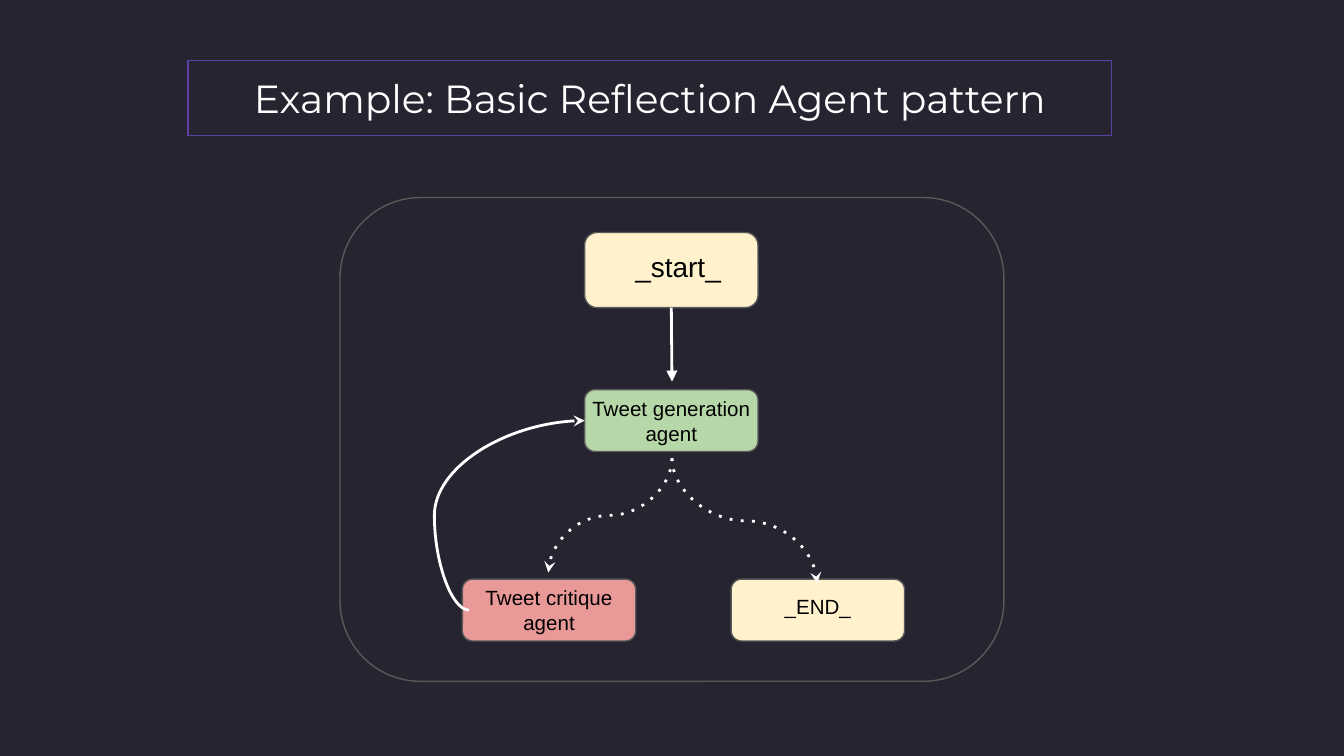
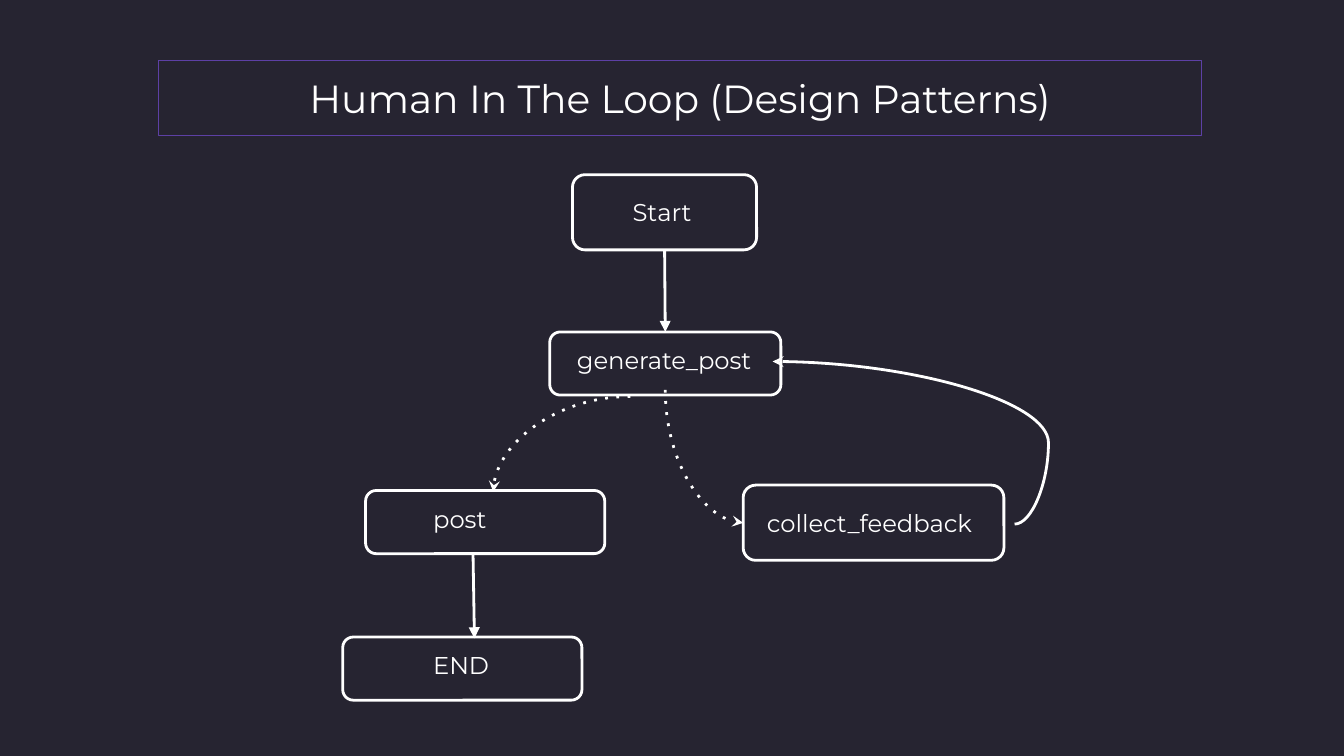
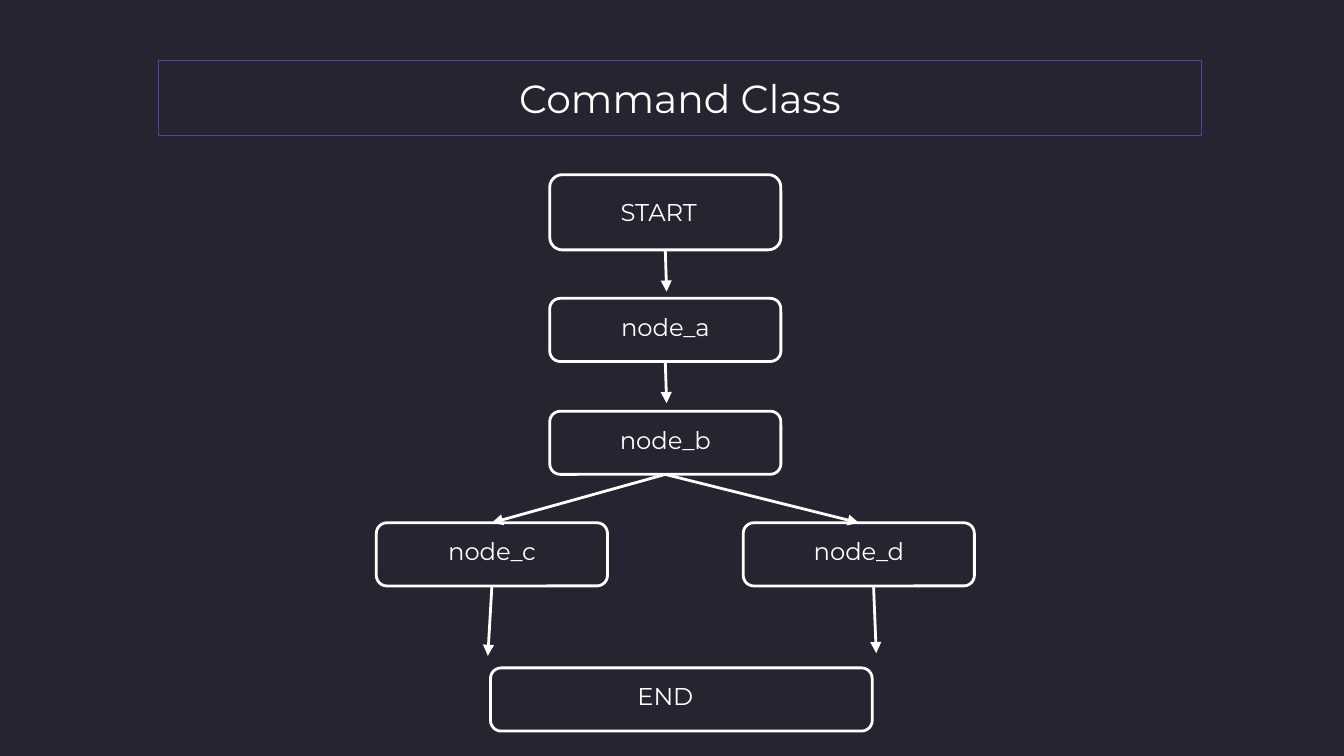
from lxml.etree import SubElement
from pptx import Presentation
from pptx.dml.color import RGBColor
from pptx.enum.shapes import MSO_CONNECTOR, MSO_SHAPE
from pptx.enum.text import MSO_ANCHOR, MSO_AUTO_SIZE, PP_ALIGN
from pptx.oxml.ns import qn
from pptx.util import Inches, Pt

BACKGROUND = "262431"
WHITE = "FFFFFF"
BLACK = "000000"
PURPLE = "5D40A5"
GRAY = "595959"
CREAM = "FFF2CC"
GREEN = "B6D7A8"
RED = "EA9999"
HEADING_FONT = "Montserrat"
DIAGRAM_FONT = "Arial"
TITLE_ONLY = 5
TOP, BOTTOM = 0, 2
TALL, LOW = 0.56, 0.47


def color(value):
    return RGBColor.from_string(value)


def write(shape, text, size, font=HEADING_FONT, ink=WHITE, indent=None, lift=0):
    frame = shape.text_frame
    frame.word_wrap = True
    frame.auto_size = MSO_AUTO_SIZE.NONE
    frame.vertical_anchor = MSO_ANCHOR.MIDDLE
    frame.margin_left = Inches(indent or 0)
    frame.margin_right = frame.margin_top = 0
    frame.margin_bottom = Inches(lift)
    paragraph = frame.paragraphs[0]
    paragraph.alignment = PP_ALIGN.CENTER if indent is None else PP_ALIGN.LEFT
    run = paragraph.add_run()
    run.text = text
    run.font.size = Pt(size)
    run.font.name = font
    run.font.color.rgb = color(ink)


def outline(shape, stroke, weight):
    shape.line.color.rgb = color(stroke)
    shape.line.width = Pt(weight)


def add_titled_slide(deck, text, left=1.18, width=7.76):
    slide = deck.slides.add_slide(deck.slide_layouts[TITLE_ONLY])
    title = slide.shapes.title
    title.left, title.top = Inches(left), Inches(0.45)
    title.width, title.height = Inches(width), Inches(TALL)
    outline(title, PURPLE, 0.75)
    write(title, text, 21)
    return slide


def add_rounded(slide, left, top, width, height, fill=None, stroke=WHITE, weight=1.5):
    box = slide.shapes.add_shape(
        MSO_SHAPE.ROUNDED_RECTANGLE,
        Inches(left), Inches(top), Inches(width), Inches(height),
    )
    box.shadow.inherit = False
    if fill:
        box.fill.solid()
        box.fill.fore_color.rgb = color(fill)
    else:
        box.fill.background()
    outline(box, stroke, weight)
    return box


def add_filled_node(slide, text, left, top, fill, height=0.46, size=11, **layout):
    node = add_rounded(slide, left, top, 1.29, height, fill, GRAY, 0.75)
    write(node, text, size, font=DIAGRAM_FONT, ink=BLACK, **layout)
    return node


def add_outlined_node(slide, text, left, top, width=1.72, height=LOW, indent=None):
    node = add_rounded(slide, left, top, width, height)
    write(node, text, 13, indent=indent, lift=0.05 if height == LOW else 0)
    return node


def style_arrow(arrow, head, dotted=False):
    outline(arrow, WHITE, 1.5)
    stroke = arrow.line._get_or_add_ln()
    if dotted:
        SubElement(stroke, qn("a:prstDash"), val="dot")
    SubElement(stroke, qn("a:tailEnd"), type=head)
    SubElement(arrow._element.spPr, qn("a:effectLst"))


def add_arrow(slide, start, end, source=None, target=None):
    arrow = slide.shapes.add_connector(
        MSO_CONNECTOR.STRAIGHT, *(Inches(value) for value in (*start, *end))
    )
    if source is not None:
        arrow.begin_connect(source, BOTTOM)
    if target is not None:
        arrow.end_connect(target, TOP)
    style_arrow(arrow, "triangle")


def add_curve(slide, start, end, bend=None, downward=False, dotted=False):
    (x1, y1), (x2, y2) = start, end
    if downward:
        center_x, center_y = (x1 + x2) / 2, (y1 + y2) / 2
        half_x, half_y = (x2 - x1) / 2, (y2 - y1) / 2
        x1, x2 = center_x - half_y, center_x + half_y
        y1, y2 = center_y + half_x, center_y - half_x
    curve = slide.shapes.add_connector(
        MSO_CONNECTOR.CURVE, *(Inches(value) for value in (x1, y1, x2, y2))
    )
    properties = curve._element.spPr
    if downward:
        properties.find(qn("a:xfrm")).set("rot", str(90 * 60000))
    geometry = properties.find(qn("a:prstGeom"))
    if bend is None:
        geometry.set("prst", "curvedConnector2")
    else:
        guides = geometry.find(qn("a:avLst"))
        if guides is None:
            guides = SubElement(geometry, qn("a:avLst"))
        SubElement(guides, qn("a:gd"), name="adj1", fmla=f"val {round(bend * 100000)}")
    style_arrow(curve, "stealth", dotted)


def build_reflection(deck):
    slide = add_titled_slide(
        deck, "Example: Basic Reflection Agent pattern", left=1.4, width=6.87
    )
    add_rounded(slide, 2.53, 1.47, 4.94, 3.6, stroke=GRAY, weight=0.75)
    start = add_filled_node(
        slide, "_start_", 4.35, 1.73, CREAM, height=TALL, size=15, indent=0.35, lift=0.06
    )
    add_filled_node(slide, "Tweet generation agent", 4.35, 2.9, GREEN)
    add_filled_node(slide, "Tweet critique agent", 3.44, 4.31, RED)
    add_filled_node(slide, "_END_", 5.44, 4.31, CREAM, lift=0.05)
    add_arrow(slide, (5, 2.29), (5, 2.84), source=start)
    for branch_end in ((4.08, 4.26), (6.08, 4.34)):
        add_curve(slide, (5, 3.41), branch_end, bend=0.5, downward=True, dotted=True)
    add_curve(slide, (3.49, 4.54), (4.35, 3.13), bend=-0.3)


def build_human_loop(deck):
    slide = add_titled_slide(deck, "Human In The Loop (Design Patterns)")
    start = add_outlined_node(slide, "Start", 4.26, 1.3, 1.37, TALL, indent=0.42)
    generate = add_outlined_node(slide, "generate_post", 4.09, 2.47, indent=0.18)
    add_outlined_node(slide, "post", 2.72, 3.65, 1.78, indent=0.48)
    add_outlined_node(slide, "collect_feedback", 5.53, 3.61, 1.94, TALL, indent=0.15)
    add_outlined_node(slide, "END", 2.55, 4.74, 1.78, indent=0.65)
    add_arrow(slide, (4.95, 1.86), (4.95, 2.47), source=start, target=generate)
    add_arrow(slide, (3.52, 4.13), (3.53, 4.75))
    add_curve(slide, (4.69, 2.95), (3.67, 3.66), dotted=True)
    add_curve(slide, (7.55, 3.9), (5.75, 2.69), bend=-0.14)
    add_curve(slide, (4.95, 2.9), (5.53, 3.89), downward=True, dotted=True)


def build_command(deck):
    slide = add_titled_slide(deck, "Command Class")
    start = add_outlined_node(slide, "START", 4.09, 1.3, height=TALL, indent=0.5)
    node_a = add_outlined_node(slide, "node_a", 4.09, 2.22)
    node_b = add_outlined_node(slide, "node_b", 4.09, 3.06)
    node_c = add_outlined_node(slide, "node_c", 2.8, 3.89)
    node_d = add_outlined_node(slide, "node_d", 5.53, 3.89)
    add_outlined_node(slide, "END", 3.65, 4.97, 2.84, indent=1.07)
    add_arrow(slide, (4.95, 1.86), (4.96, 2.17), source=start)
    add_arrow(slide, (4.95, 2.69), (4.96, 3), source=node_a)
    for branch, x in ((node_c, 3.66), (node_d, 6.39)):
        add_arrow(slide, (4.95, 3.53), (x, 3.89), source=node_b, target=branch)
    add_arrow(slide, (3.66, 4.36), (3.63, 4.88), source=node_c)
    add_arrow(slide, (6.5, 4.37), (6.52, 4.86))


def main():
    deck = Presentation()
    deck.slide_width = Inches(10)
    deck.slide_height = Inches(10 * 9 / 16)
    backdrop = deck.slide_master.background.fill
    backdrop.solid()
    backdrop.fore_color.rgb = color(BACKGROUND)
    build_reflection(deck)
    build_human_loop(deck)
    build_command(deck)
    deck.save("out.pptx")


if __name__ == "__main__":
    main()
